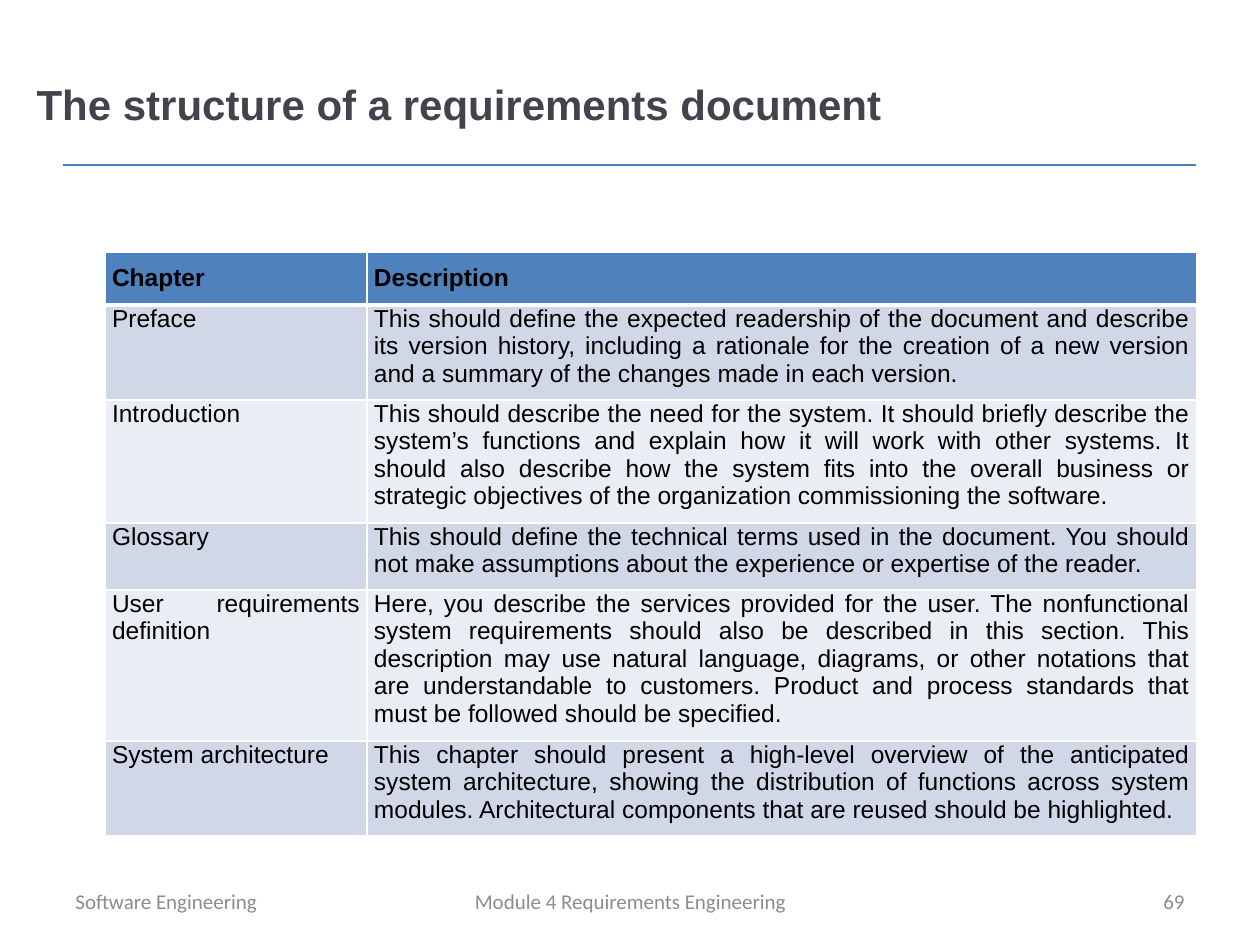
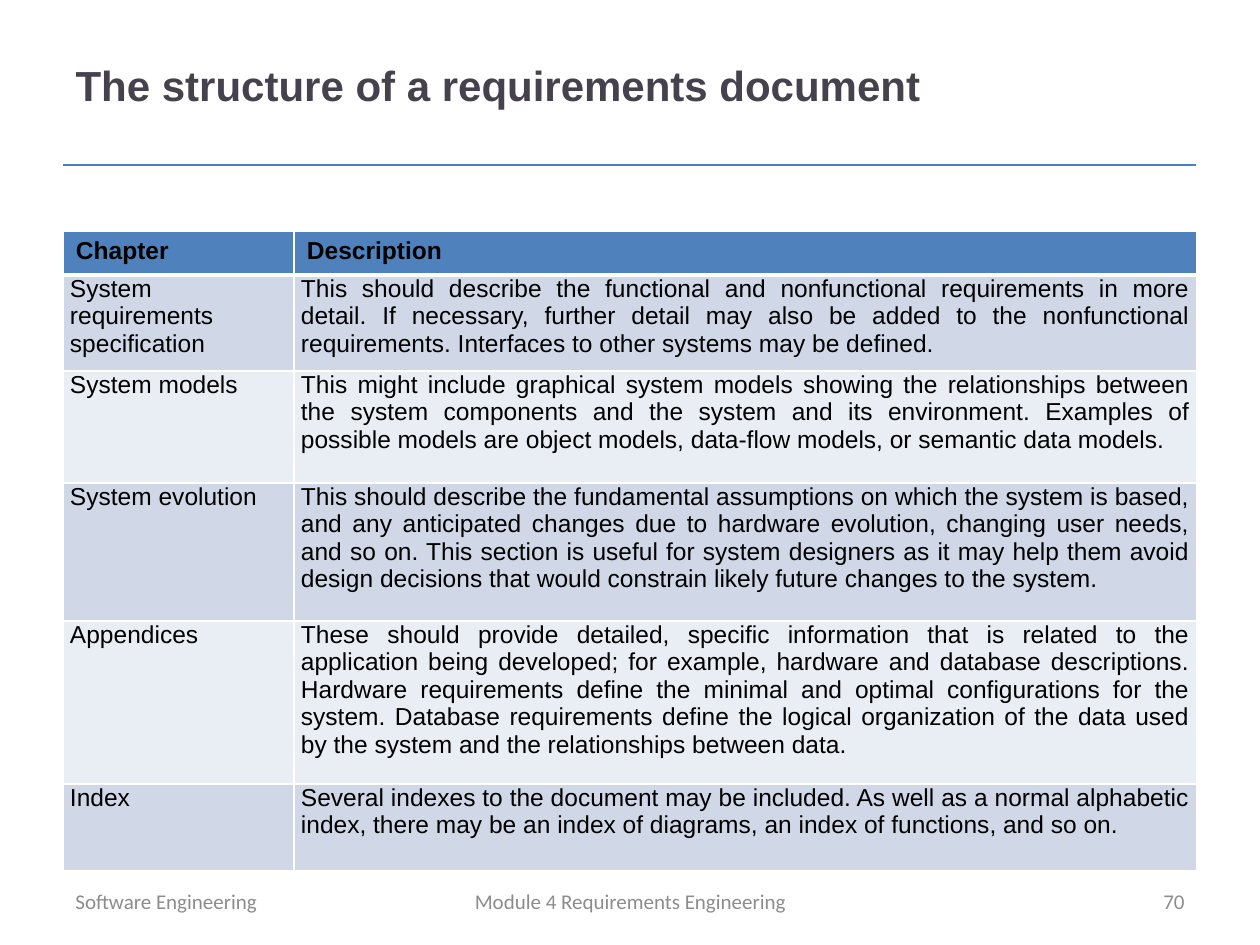
import lxml.etree
import pptx
import pptx.dml.color
import pptx.enum.shapes
import pptx.enum.text
import pptx.oxml.ns
import pptx.util

RGB = pptx.dml.color.RGBColor
ALIGN = pptx.enum.text.PP_ALIGN
MIDDLE = pptx.enum.text.MSO_ANCHOR.MIDDLE

TITLE_INK = RGB(0x46, 0x42, 0x4D)
RULE_BLUE = RGB(0x4B, 0x7E, 0xBC)
HEADER_BLUE = RGB(0x4F, 0x81, 0xBD)
BAND_DARK = RGB(0xD0, 0xD8, 0xE8)
BAND_LIGHT = RGB(0xE9, 0xED, 0xF4)
FOOTER_GRAY = RGB(0x8C, 0x8C, 0x8C)
BLACK = RGB(0, 0, 0)
WHITE = RGB(0xFF, 0xFF, 0xFF)

TITLE = "The structure of a requirements document"
COURSE = "Software Engineering"
MODULE = "Module 4 Requirements Engineering"
HEADER = ("Chapter", "Description")
BODY_INSETS = (7, 0, 7, 12)

SLIDES = [
    {
        "number": "69",
        "title_box": (24, 29, 1016, 150),
        "table_at": (105, 252),
        "columns": (262, 830),
        "rows": (53, 95, 123, 67, 151, 94),
        "header_insets": (7, 12, 7, 12),
        "header_align": ALIGN.JUSTIFY,
        "chapters": [
            ("Preface",
             "This should define the expected readership of the document and describe its version "
             "history, including a rationale for the creation of a new version and a summary of the "
             "changes made in each version."),
            ("Introduction",
             "This should describe the need for the system. It should briefly describe the system’s "
             "functions and explain how it will work with other systems. It should also describe how "
             "the system fits into the overall business or strategic objectives of the organization "
             "commissioning the software."),
            ("Glossary",
             "This should define the technical terms used in the document. You should not make "
             "assumptions about the experience or expertise of the reader."),
            ("User requirements definition",
             "Here, you describe the services provided for the user. The nonfunctional system "
             "requirements should also be described in this section. This description may use natural "
             "language, diagrams, or other notations that are understandable to customers. Product and "
             "process standards that must be followed should be specified."),
            ("System architecture",
             "This chapter should present a high-level overview of the anticipated system architecture, "
             "showing the distribution of functions across system modules. Architectural components "
             "that are reused should be highlighted."),
        ],
    },
    {
        "number": "70",
        "title_box": (63, 6, 1005, 158),
        "table_at": (63, 231),
        "columns": (231, 903),
        "rows": (44, 96, 112, 138, 163, 87),
        "header_insets": (13, 6, 13, 6),
        "header_align": ALIGN.LEFT,
        "chapters": [
            ("System requirements specification",
             "This should describe the functional and nonfunctional requirements in more detail. If "
             "necessary, further detail may also be added to the nonfunctional requirements. Interfaces "
             "to other systems may be defined."),
            ("System models",
             "This might include graphical system models showing the relationships between the system "
             "components and the system and its environment. Examples of possible models are object "
             "models, data-flow models, or semantic data models."),
            ("System evolution",
             "This should describe the fundamental assumptions on which the system is based, and any "
             "anticipated changes due to hardware evolution, changing user needs, and so on. This "
             "section is useful for system designers as it may help them avoid design decisions that "
             "would constrain likely future changes to the system."),
            ("Appendices",
             "These should provide detailed, specific information that is related to the application "
             "being developed; for example, hardware and database descriptions. Hardware requirements "
             "define the minimal and optimal configurations for the system. Database requirements "
             "define the logical organization of the data used by the system and the relationships "
             "between data."),
            ("Index",
             "Several indexes to the document may be included. As well as a normal alphabetic index, "
             "there may be an index of diagrams, an index of functions, and so on."),
        ],
    },
]


def px(length):
    return pptx.util.Emu(round(length * 914400 / 126))


def write(frame, text, size, color, font="Arial", bold=False, align=ALIGN.LEFT):
    paragraph = frame.paragraphs[0]
    paragraph.alignment = align
    run = paragraph.add_run()
    run.text = text
    run.font.name = font
    run.font.size = pptx.util.Pt(size)
    run.font.bold = bold
    run.font.color.rgb = color


def add_title(slide, box):
    title = slide.shapes.title
    title.left, title.top, title.width, title.height = map(px, box)
    title.text_frame.vertical_anchor = MIDDLE
    write(title.text_frame, TITLE, 24, TITLE_INK, bold=True)


def add_rule(slide):
    rule = slide.shapes.add_connector(
        pptx.enum.shapes.MSO_CONNECTOR.STRAIGHT, px(63), px(165), px(1196), px(165))
    rule.line.color.rgb = RULE_BLUE
    rule.line.width = pptx.util.Pt(0.75)
    lxml.etree.SubElement(rule._element.spPr, pptx.oxml.ns.qn("a:effectLst"))


def add_footer(slide, number):
    for left, width, text, align in (
        (63, 294, COURSE, ALIGN.LEFT),
        (431, 399, MODULE, ALIGN.CENTER),
        (903, 294, number, ALIGN.RIGHT),
    ):
        frame = slide.shapes.add_textbox(px(left), px(876), px(width), px(50)).text_frame
        frame.word_wrap = True
        frame.vertical_anchor = MIDDLE
        write(frame, text, 12, FOOTER_GRAY, "Calibri", align=align)


def set_borders(cell, top, bottom):
    properties = cell._tc.get_or_add_tcPr()
    widths = {"a:lnL": 1, "a:lnR": 1, "a:lnT": top, "a:lnB": bottom}
    for position, (tag, width) in enumerate(widths.items()):
        border = lxml.etree.Element(pptx.oxml.ns.qn(tag), w=str(pptx.util.Pt(width)))
        fill = lxml.etree.SubElement(border, pptx.oxml.ns.qn("a:solidFill"))
        lxml.etree.SubElement(fill, pptx.oxml.ns.qn("a:srgbClr"), val=str(WHITE))
        properties.insert(position, border)


def add_chapter_table(slide, content):
    entries = [HEADER] + content["chapters"]
    columns, rows = content["columns"], content["rows"]
    left, top = content["table_at"]
    table = slide.shapes.add_table(
        len(entries), len(columns), px(left), px(top), px(sum(columns)), px(sum(rows))).table
    for column, width in zip(table.columns, columns):
        column.width = px(width)
    for index, (row, height, entry) in enumerate(zip(table.rows, rows, entries)):
        row.height = px(height)
        heading = index == 0
        insets = content["header_insets"] if heading else BODY_INSETS
        align = content["header_align"] if heading else ALIGN.JUSTIFY
        band = HEADER_BLUE if heading else (BAND_LIGHT, BAND_DARK)[index % 2]
        for cell, text in zip(row.cells, entry):
            cell.margin_left, cell.margin_top, cell.margin_right, cell.margin_bottom = map(px, insets)
            cell.fill.solid()
            cell.fill.fore_color.rgb = band
            set_borders(cell, top=3 if index == 1 else 1, bottom=3 if heading else 1)
            write(cell.text_frame, text, 14, BLACK, bold=heading, align=align)


def main():
    deck = pptx.Presentation()
    deck.slide_width, deck.slide_height = px(1260), px(945)
    title_only = deck.slide_layouts[5]
    for content in SLIDES:
        slide = deck.slides.add_slide(title_only)
        add_rule(slide)
        add_title(slide, content["title_box"])
        add_chapter_table(slide, content)
        add_footer(slide, content["number"])
    deck.save("out.pptx")


if __name__ == "__main__":
    main()
